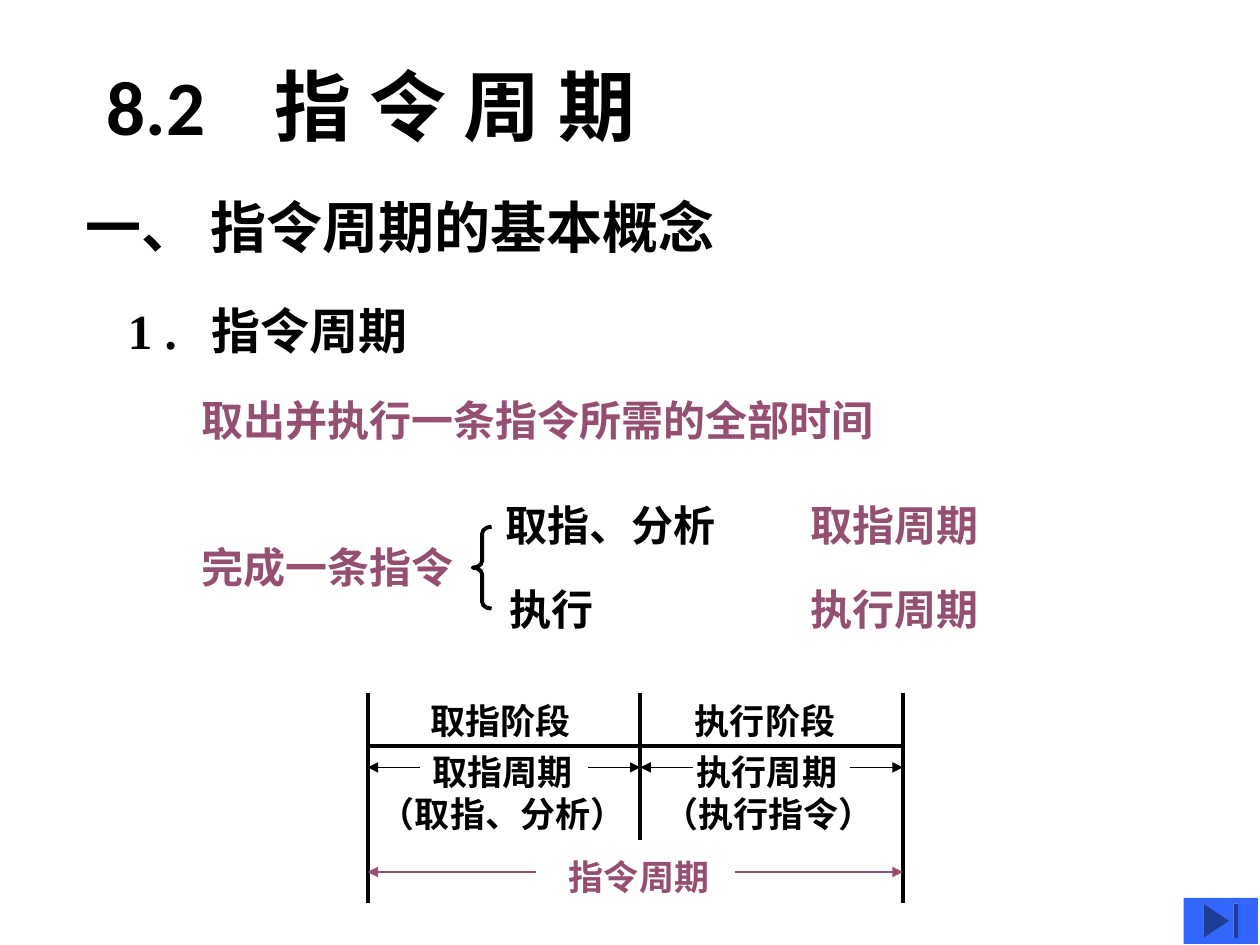
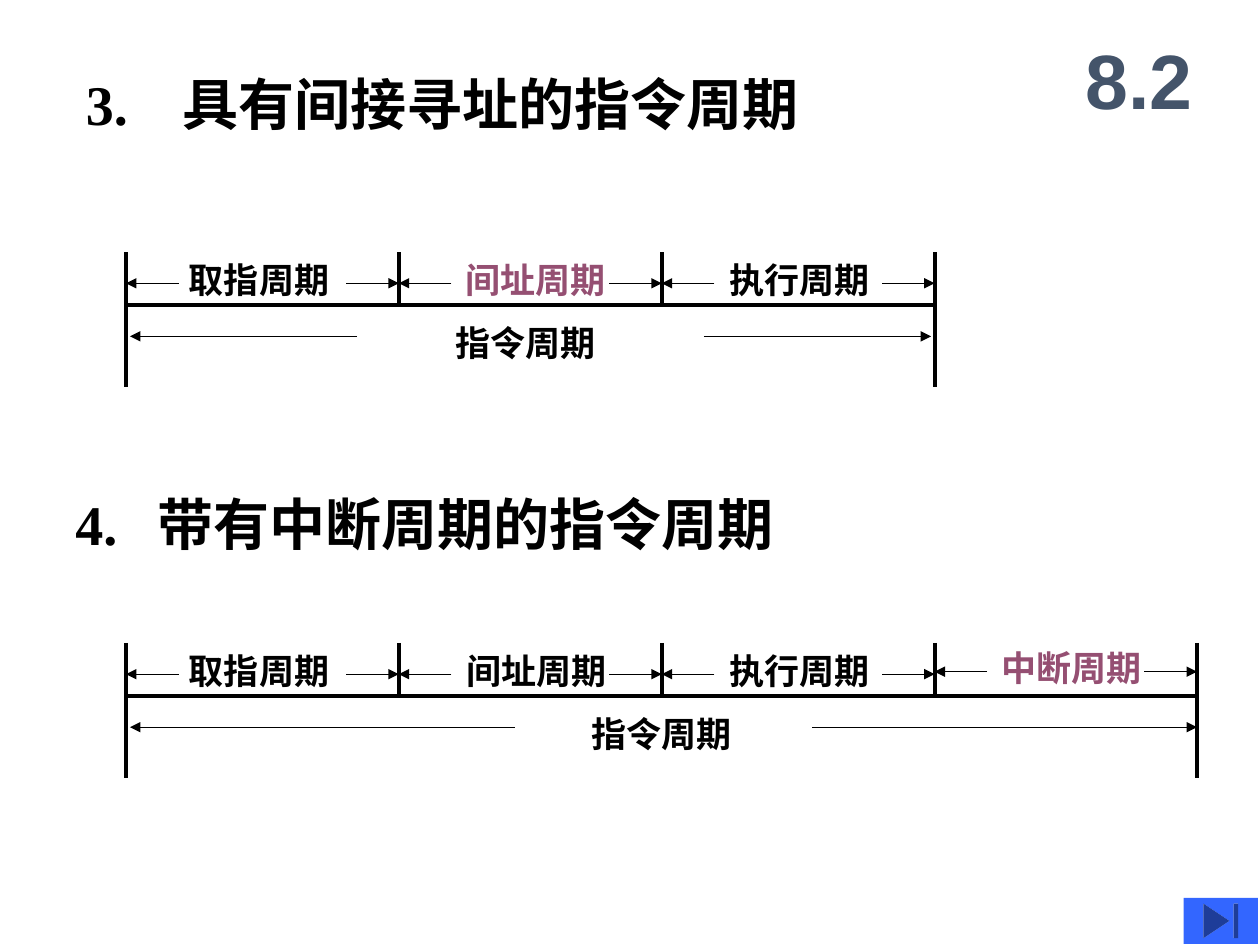
import pptx
import pptx.util
import pptx.dml.color
import pptx.enum.shapes
import pptx.enum.text
import pptx.oxml
import pptx.oxml.ns
from lxml import etree

Cm = pptx.util.Cm
SHAPES = pptx.enum.shapes.MSO_SHAPE
ANCHOR = pptx.enum.text.MSO_ANCHOR
ALIGN = pptx.enum.text.PP_ALIGN
AUTOSIZE = pptx.enum.text.MSO_AUTO_SIZE
qn = pptx.oxml.ns.qn

COLOURS = {"ink": "000000", "accent": "954F72", "section": "44546A", "button": "3366FF"}
HEAVY, THIN = 2.25, 0.75
STUB = 1.06
LABEL_WIDTH = 3.33


class CycleDeck:
    def __init__(self):
        self.presentation = pptx.Presentation()
        self.presentation.slide_width = Cm(25.4)
        self.presentation.slide_height = Cm(19.05)
        self.slide = None

    def colour(self, name):
        return pptx.dml.color.RGBColor.from_string(COLOURS[name])

    def new_slide(self):
        self.slide = self.presentation.slides.add_slide(self.presentation.slide_layouts[6])

    def text(self, content, left, top, width, height, size, colour="ink",
             font="Times New Roman", tab=None, wrap=True, frame_format=None, line_format=None):
        box = self.slide.shapes.add_textbox(Cm(left), Cm(top), Cm(width), Cm(height))
        frame = box.text_frame
        frame_values = {"word_wrap": wrap, "auto_size": AUTOSIZE.SHAPE_TO_FIT_TEXT}
        for key, value in (frame_values | (frame_format or {})).items():
            setattr(frame, key, value)
        paragraph = frame.paragraphs[0]
        for key, value in (line_format or {}).items():
            setattr(paragraph, key, value)
        if tab:
            stops = etree.SubElement(paragraph._p.get_or_add_pPr(), qn("a:tabLst"))
            etree.SubElement(stops, qn("a:tab"), pos=str(Cm(tab)), algn="l")
        run = paragraph.add_run()
        run.text = content
        for key, value in {"name": font, "size": pptx.util.Pt(size), "bold": True}.items():
            setattr(run.font, key, value)
        run.font.color.rgb = self.colour(colour)

    def label(self, content, left, top, colour="ink", width=LABEL_WIDTH):
        self.text(content, left, top, width, 1.11, 20, colour, wrap=False)

    def line(self, x1, y1, x2, y2, weight=HEAVY, colour="ink", arrow=False):
        stroke = self.slide.shapes.add_connector(
            pptx.enum.shapes.MSO_CONNECTOR.STRAIGHT, Cm(x1), Cm(y1), Cm(x2), Cm(y2))
        stroke.line.width = pptx.util.Pt(weight)
        stroke.line.color.rgb = self.colour(colour)
        if arrow:
            etree.SubElement(stroke.line._get_or_add_ln(), qn("a:tailEnd"), type="triangle")
        etree.SubElement(stroke._element.spPr, qn("a:effectLst"))

    def interval(self, left, right, y, stub=STUB, colour="ink"):
        for edge, inner in ((left, left + stub), (right, right - stub)):
            self.line(inner, y, edge, y, THIN, colour, arrow=True)

    def frame(self, bounds, top, axis, inner_bottom, outer_bottom):
        self.line(bounds[0], axis, bounds[-1], axis)
        for x in bounds:
            bottom = outer_bottom if x in (bounds[0], bounds[-1]) else inner_bottom
            self.line(x, top, x, bottom)

    def timeline(self, top, bounds, phases, total_left, total_right, total_stub, total_label):
        self.frame(bounds, top, top + 1.07, top + 1.07, top + 2.72)
        for left, right, (content, label_left, colour, lift) in zip(bounds, bounds[1:], phases):
            self.label(content, label_left, top - lift, colour)
            self.interval(left, right, top + 0.63 - lift)
        self.interval(total_left, total_right, top + 1.7, total_stub)
        self.label("指令周期", total_label, top + 1.27)

    def brace(self, left, top, width, height):
        brace = self.slide.shapes.add_shape(
            SHAPES.LEFT_BRACE, Cm(left), Cm(top), Cm(width), Cm(height))
        brace.shadow.inherit = False
        brace.adjustments[0] = 0.36
        brace.fill.background()
        brace.line.color.rgb = self.colour("ink")
        brace.line.width = pptx.util.Pt(HEAVY)

    def end_button(self):
        button = self.slide.shapes.add_shape(
            SHAPES.ACTION_BUTTON_END, Cm(23.86), Cm(18.1), Cm(1.5), Cm(0.93))
        button.shadow.inherit = False
        button.fill.solid()
        button.fill.fore_color.rgb = self.colour("button")
        button.line.fill.background()


def concept_slide(deck):
    deck.new_slide()
    fixed_middle = {"vertical_anchor": ANCHOR.MIDDLE, "auto_size": AUTOSIZE.NONE}
    deck.text("8.2\t指 令 周 期", 1.9, 0.64, 21.59, 3.18, 44, font="Calibri", tab=3.39,
              frame_format=fixed_middle, line_format={"line_spacing": 0.9})
    deck.text("一、 指令周期的基本概念", 1.48, 3.76, 15.88, 1.62, 32)
    deck.text("1 .\t指令周期", 2.33, 5.93, 15.88, 1.45, 28, tab=1.69)
    deck.text("取出并执行一条指令所需的全部时间", 3.81, 7.83, 15.88, 1.27, 24, "accent")
    deck.text("完成一条指令", 3.81, 10.8, 7.62, 1.27, 24, "accent")
    deck.brace(9.53, 10.62, 0.38, 1.65)
    steps = [("取指、分析", 9.95, "取指周期", 9.95), ("执行", 10.02, "执行周期", 11.64)]
    for step, step_left, cycle, top in steps:
        deck.text(step, step_left, top, 5.5, 1.27, 24)
        deck.text(cycle, 16.09, top, 5.08, 1.27, 24, "accent")

    bounds = [7.41, 12.91, 18.2]
    deck.frame(bounds, 13.97, 15.03, 16.93, 18.2)
    stages = [("取指阶段", 8.43, "取指周期", 8.47, "（取指、分析）", 7.41, 5.46),
              ("执行阶段", 13.76, "执行周期", 13.8, "（执行指令）", 13.12, 4.75)]
    for left, right, stage in zip(bounds, bounds[1:], stages):
        phase, phase_left, cycle, cycle_left, detail, detail_left, detail_width = stage
        deck.label(phase, phase_left, 13.97)
        deck.label(cycle, cycle_left, 15)
        deck.label(detail, detail_left, 15.85, width=detail_width)
        deck.interval(left, right, 15.47)
    deck.label("指令周期", 11.22, 17.13, "accent")
    deck.interval(bounds[0], bounds[-1], 17.58, 3.39, "accent")
    deck.end_button()


def extended_cycle_slide(deck):
    deck.new_slide()
    deck.text("3.\t具有间接寻址的指令周期", 1.48, 1.27, 15.88, 1.62, 32, tab=1.95)
    deck.text("4.\t带有中断周期的指令周期", 1.27, 9.74, 15.88, 1.62, 32, tab=1.65)
    bounds = [2.54, 8.04, 13.34, 18.84, 24.13]
    fetch = ("取指周期", 3.56, "ink", 0)
    execute = ("执行周期", 14.45, "ink", 0)
    interrupt = ("中断周期", 19.94, "accent", 0.05)
    deck.timeline(5.08, bounds[:4], [fetch, ("间址周期", 9.14, "accent", 0), execute],
                  2.62, 18.77, 4.58, 8.94)
    deck.timeline(12.96, bounds, [fetch, ("间址周期", 9.16, "ink", 0), execute, interrupt],
                  2.62, 24.13, 7.76, 11.68)
    deck.text("8.2", 21.38, 0.42, 3.18, 2.33, 44, "section", "Arial",
              frame_format={"vertical_anchor": ANCHOR.MIDDLE, "auto_size": AUTOSIZE.NONE},
              line_format={"alignment": ALIGN.CENTER})
    deck.end_button()


def main():
    deck = CycleDeck()
    concept_slide(deck)
    extended_cycle_slide(deck)
    deck.presentation.save("out.pptx")


if __name__ == "__main__":
    main()
